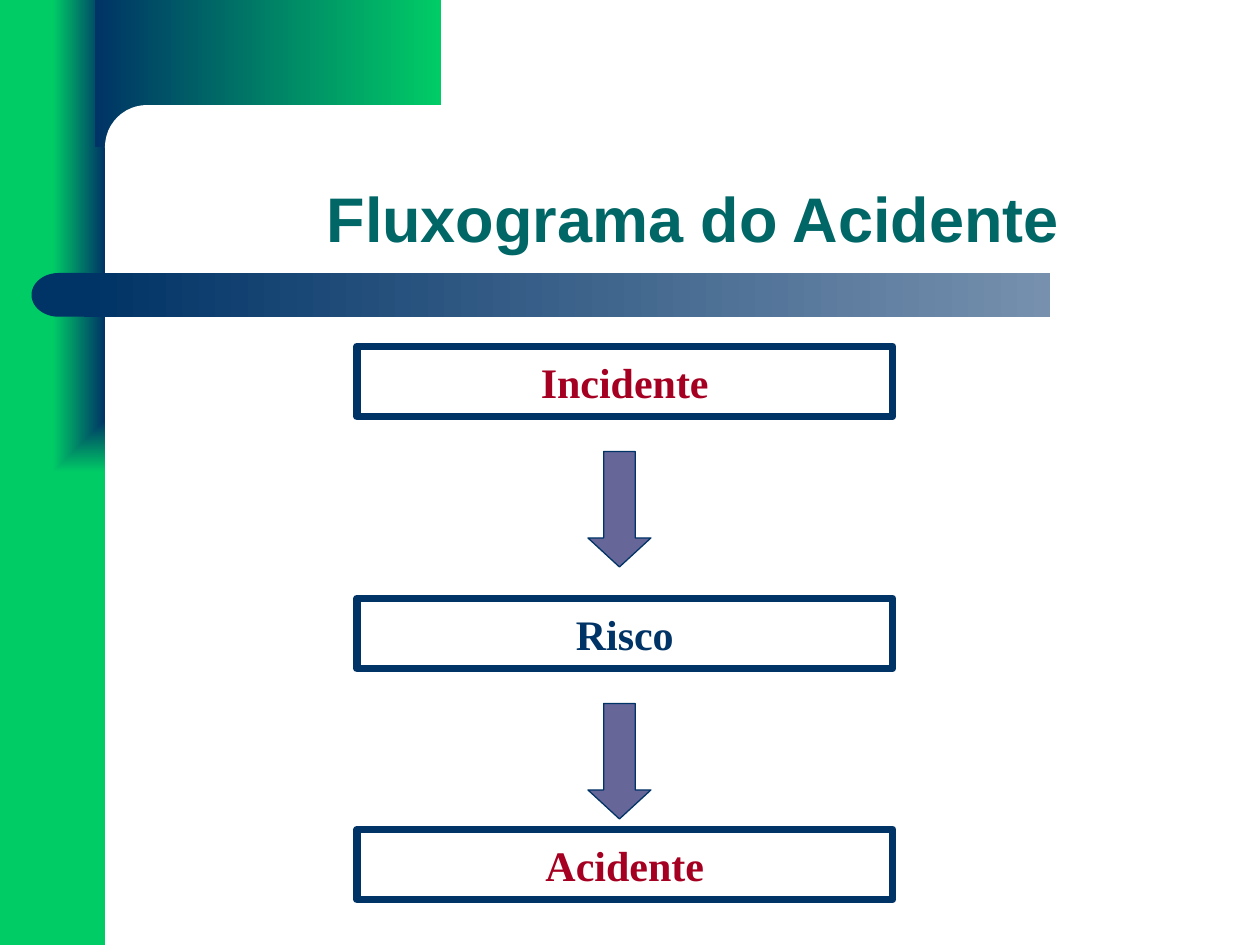
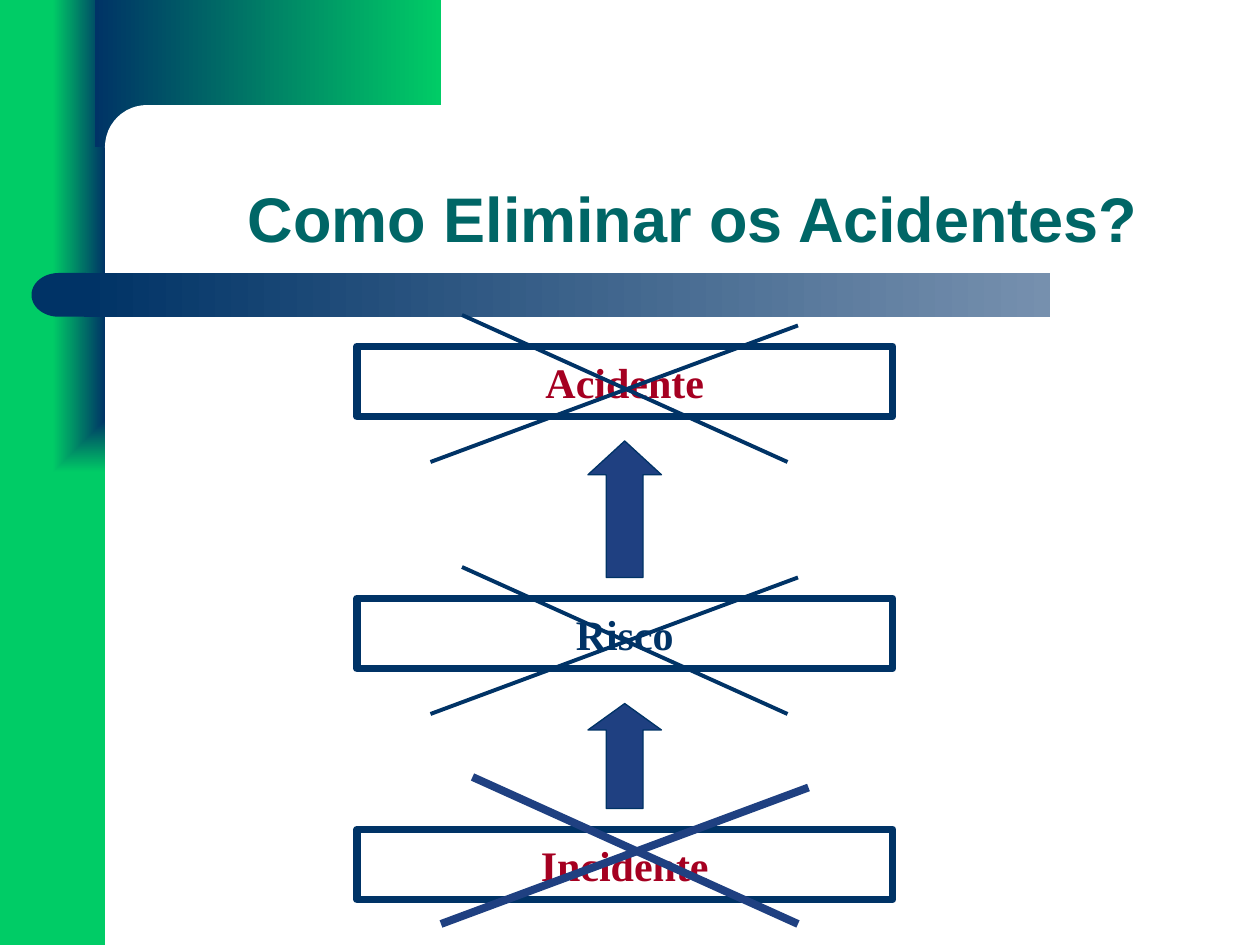
from lxml.etree import SubElement
from pptx import Presentation
from pptx.dml.color import RGBColor as RGB
from pptx.enum.shapes import MSO_CONNECTOR, MSO_SHAPE as SHAPE
from pptx.enum.text import MSO_ANCHOR as ANCHOR, MSO_AUTO_SIZE as AUTO, PP_ALIGN as ALIGN
from pptx.oxml.ns import qn
from pptx.util import Pt

COLORS = {"navy": "003366", "green": "00CC66", "steel": "7690AE", "white": "FFFFFF",
          "teal": "006666", "red": "A50021", "violet": "666699", "blue": "1F4081"}
RGBS = {name: RGB.from_string(value) for name, value in COLORS.items()}
TITLE = {"name": "Arial", "size": Pt(36), "bold": True}
LABEL = {"name": "Times New Roman", "size": Pt(24), "bold": True}
LABEL_COLORS = {"Incidente": "red", "Risco": "navy", "Acidente": "red"}


def add_shape(shapes, kind, box, fill=None, line=None, width=0.75, adj=()):
    """Box is left, top, width, height; a pair of fill names makes a gradient."""
    sp = shapes.add_shape(kind, *map(Pt, box))
    sp.shadow.inherit = False
    for i, value in enumerate(adj):
        sp.adjustments[i] = value
    if fill is None:
        sp.fill.background()
    elif isinstance(fill, tuple):
        sp.fill.gradient()
        sp.fill.gradient_angle = 0
        for stop, name in zip(sp.fill.gradient_stops, fill):
            stop.color.rgb = RGBS[name]
    else:
        sp.fill.solid()
        sp.fill.fore_color.rgb = RGBS[fill]
    if line is None:
        sp.line.fill.background()
    else:
        sp.line.color.rgb = RGBS[line]
        sp.line.width = Pt(width)
    return sp


def write(sp, text, style, color, anchor):
    tf = sp.text_frame
    tf.word_wrap = True
    tf.auto_size = AUTO.NONE
    tf.vertical_anchor = anchor
    p = tf.paragraphs[0]
    p.alignment = ALIGN.CENTER
    r = p.add_run()
    r.text = text
    for key, value in style.items():
        setattr(r.font, key, value)
    r.font.color.rgb = RGBS[color]
    return p


prs = Presentation()
prs.slide_width, prs.slide_height = Pt(720), Pt(540)
layout = prs.slide_layouts[5]

SLIDES = [
    {"title": "Fluxograma do Acidente",
     "labels": ["Incidente", "Risco", "Acidente"],
     "arrow": SHAPE.DOWN_ARROW, "arrow_fill": "violet", "head": 16.5,
     "arrows": [(336, 258, 36, 66), (336, 402, 36, 66)],
     "crosses": []},
    {"title": "Como Eliminar os Acidentes?",
     "labels": ["Acidente", "Risco", "Incidente"],
     "arrow": SHAPE.UP_ARROW, "arrow_fill": "blue", "head": None,
     "arrows": [(336, 252, 42, 78), (336, 402, 42, 60)],
     "crosses": [(0, 0, "navy", 2.25), (0, 144, "navy", 2.25), (6, 264, "blue", 4.5)]},
]
HEADS = {66: 0.46, 78: 0.46, 60: 0.36}
BOX_TOPS = [198, 342, 474]
CROSS = [(264, 180, 450, 264), (246, 264, 456, 186)]

# Bands: drawn on the first slide, then moved to the shared layout
slides = [prs.slides.add_slide(layout) for _ in SLIDES]
shapes = slides[0].shapes
side = add_shape(shapes, SHAPE.RECTANGLE, (0, 0, 60, 540), ("navy", "green"))
grad = side.element.spPr.find(qn("a:gradFill"))
grad.remove(grad.find(qn("a:lin")))
path = SubElement(grad, qn("a:path"), path="rect")
SubElement(path, qn("a:fillToRect"), l="100000", b="100000")
top = add_shape(shapes, SHAPE.RECTANGLE, (54, 0, 198, 84), ("navy", "green"))
corner = add_shape(shapes, SHAPE.ROUNDED_RECTANGLE, (60, 60, 402, 48), "white", adj=[0.5])
bar = add_shape(shapes, SHAPE.RECTANGLE, (48, 156, 552, 25), ("navy", "steel"))
cap = add_shape(shapes, SHAPE.FLOWCHART_DELAY, (18, 156, 31, 25), "navy")
cap.rotation = 180
for sp in (side, top, corner, bar, cap):
    layout.shapes.element.append(sp.element)

for s, data in zip(slides, SLIDES):
    title = s.shapes.title
    title.left, title.top, title.width, title.height = map(Pt, (72, 60, 648, 90))
    p = write(title, data["title"], TITLE, "teal", ANCHOR.BOTTOM)
    p.line_spacing = 0.9

    for text, y in zip(data["labels"], BOX_TOPS):
        sp = add_shape(s.shapes, SHAPE.RECTANGLE, (204, y, 306, 40), line="navy", width=4.5)
        write(sp, text, LABEL, LABEL_COLORS[text], ANCHOR.MIDDLE)

    for dx, dy, color, width in data["crosses"]:
        for x1, y1, x2, y2 in CROSS:
            ends = map(Pt, (x1 + dx, y1 + dy, x2 + dx, y2 + dy))
            line = s.shapes.add_connector(MSO_CONNECTOR.STRAIGHT, *ends)
            line.line.color.rgb = RGBS[color]
            line.line.width = Pt(width)
            SubElement(line.element.spPr, qn("a:effectLst"))

    for box in data["arrows"]:
        add_shape(s.shapes, data["arrow"], box, data["arrow_fill"], "navy",
                  adj=[0.5, HEADS[box[3]]])

prs.save("out.pptx")
